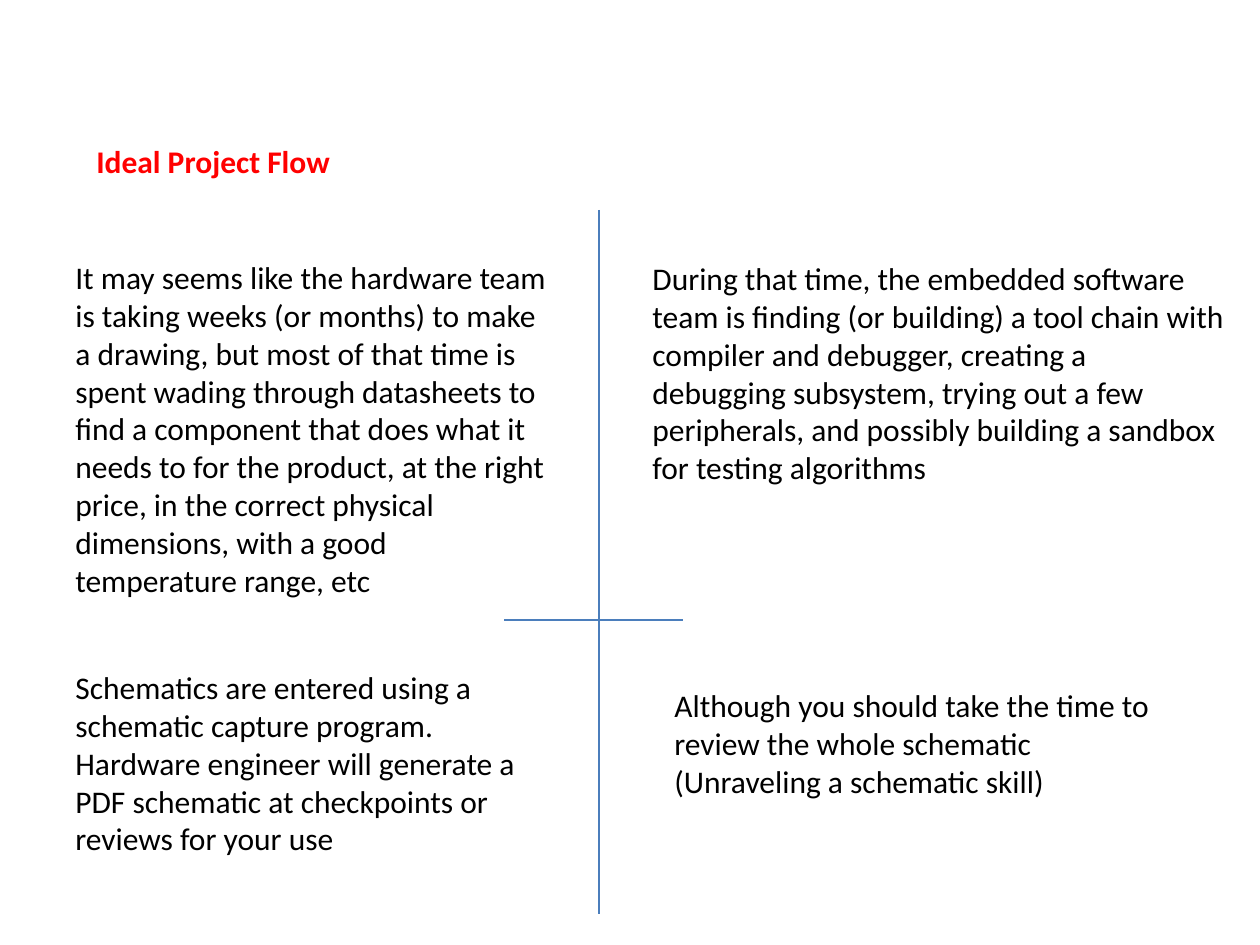
import pptx
import pptx.dml.color
import pptx.enum.shapes
import pptx.enum.text
import pptx.oxml.ns
import pptx.util
import lxml.etree

EMU_PER_PX = 914400 / 126
COLORS = {"heading": "FF0000", "body": "000000", "divider": "4B7EBC"}

HARDWARE = (
    "It may seems like the hardware team is taking weeks (or months) to make "
    "a drawing, but most of that time is spent wading through datasheets to "
    "find a component that does what it needs to for the product, at the right "
    "price, in the correct physical dimensions, with a good temperature range, etc"
)
SOFTWARE = (
    "During that time, the embedded software team is finding (or building) a "
    "tool chain with compiler and debugger, creating a debugging subsystem, "
    "trying out a few peripherals, and possibly building a sandbox for testing "
    "algorithms"
)
SCHEMATICS = (
    "Schematics are entered using a schematic capture program.\n"
    "Hardware engineer will generate a PDF schematic at checkpoints or reviews "
    "for your use"
)
REVIEW = (
    "Although you should take the time to review the whole schematic\v"
    "(Unraveling a schematic skill)"
)


def px(length):
    return pptx.util.Emu(round(length * EMU_PER_PX))


def rgb(name):
    return pptx.dml.color.RGBColor.from_string(COLORS[name])


def add_text(slide, text, left, top, width, height, *, size=18, color="body", bold=False):
    frame = slide.shapes.add_textbox(px(left), px(top), px(width), px(height)).text_frame
    frame.word_wrap = True
    frame.vertical_anchor = pptx.enum.text.MSO_ANCHOR.TOP
    frame.text = text
    for paragraph in frame.paragraphs:
        for run in paragraph.runs:
            run.font.name = "Calibri"
            run.font.size = pptx.util.Pt(size)
            run.font.bold = bold
            run.font.color.rgb = rgb(color)


def add_divider(slide, x1, y1, x2, y2):
    divider = slide.shapes.add_connector(
        pptx.enum.shapes.MSO_CONNECTOR.STRAIGHT, px(x1), px(y1), px(x2), px(y2)
    )
    divider.line.color.rgb = rgb("divider")
    divider.line.width = pptx.util.Pt(0.75)
    lxml.etree.SubElement(divider._element.spPr, pptx.oxml.ns.qn("a:effectLst"))


def main():
    deck = pptx.Presentation()
    deck.slide_width, deck.slide_height = px(1260), px(945)
    slide = deck.slides.add_slide(deck.slide_layouts[6])

    add_text(slide, "Ideal Project Flow", 84, 136, 514, 53, color="heading", bold=True)
    add_text(slide, HARDWARE, 63, 252, 504, 357)
    add_text(slide, SOFTWARE, 640, 253, 599, 242)
    add_divider(slide, 599, 210, 599, 914)
    add_divider(slide, 504, 620, 683, 620)
    add_text(slide, SCHEMATICS, 63, 662, 483, 204)
    add_text(slide, REVIEW, 662, 680, 514, 165)

    deck.save("out.pptx")


if __name__ == "__main__":
    main()
